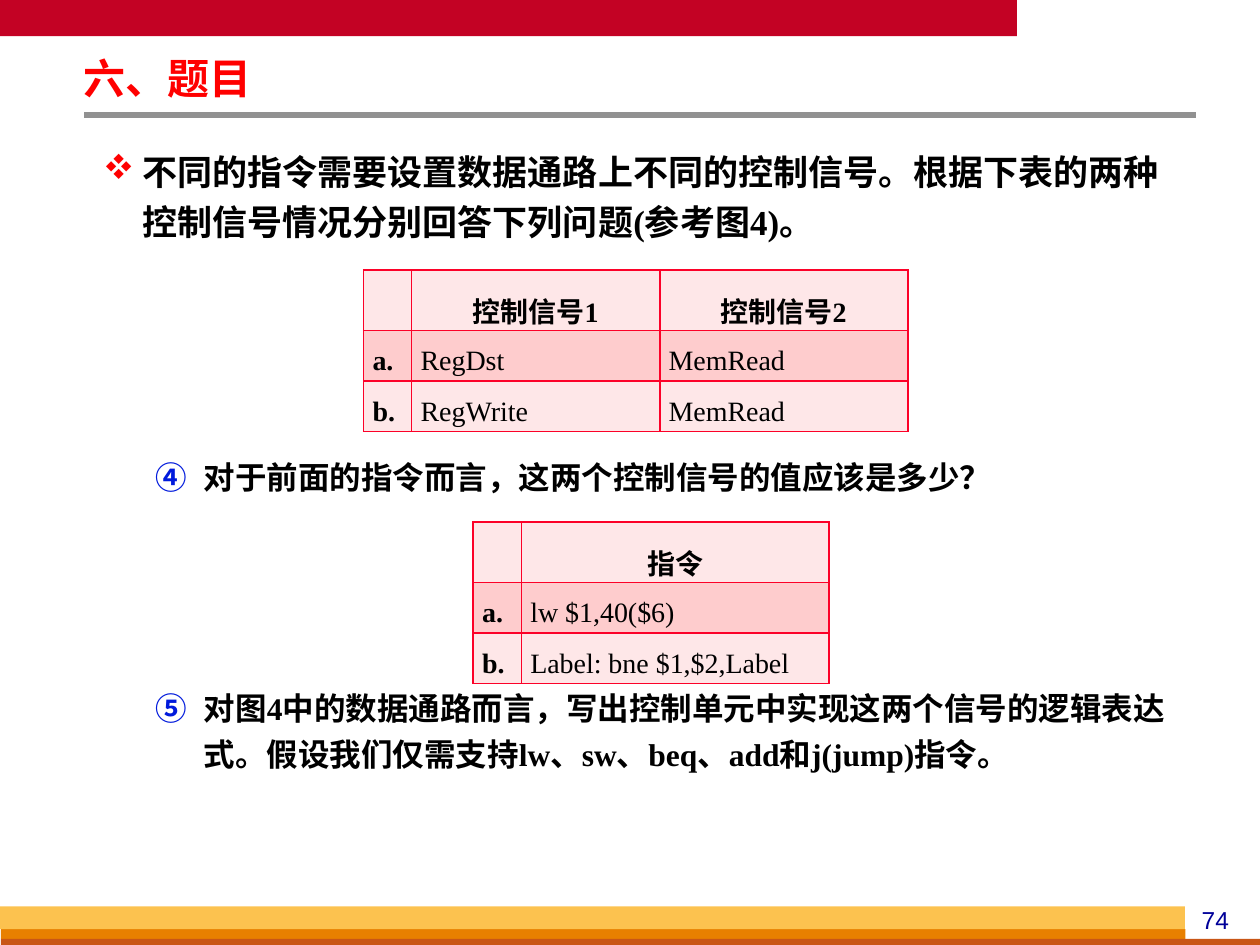
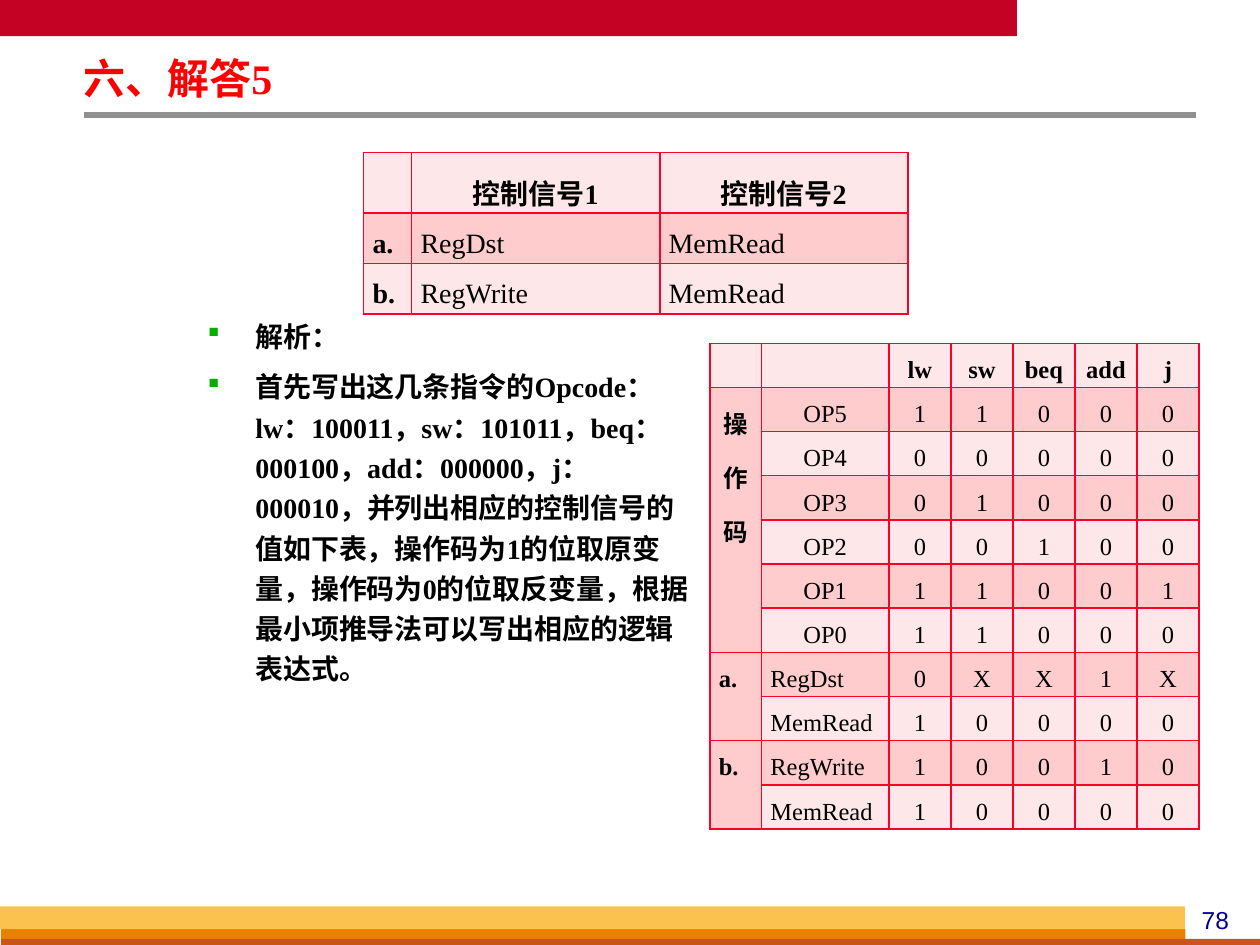
from lxml.etree import SubElement
from pptx import Presentation
from pptx.dml.color import RGBColor
from pptx.enum.shapes import MSO_CONNECTOR, MSO_SHAPE
from pptx.enum.text import MSO_ANCHOR, MSO_AUTO_SIZE, PP_ALIGN
from pptx.oxml.ns import qn
from pptx.util import Cm, Pt

COLOURS = {
    "top band": "C30224", "rule": "919191", "gold": "FCC24F",
    "orange": "E88000", "rust": "C95616", "page number": "000099",
    "title": "FF0000", "text": "000000", "diamond": "FF0000",
    "number": "001ADC", "square": "05AD01",
    "border": "FC0128", "light row": "FEE7E8", "dark row": "FECCCD",
}
SERIF, SANS = "Times New Roman", "Arial"

# colour, then left, top, width, height in cm
BANDS = [
    ("top band", (0, 0, 20.5, 0.73)),
    ("orange", (0.02, 18.73, 23.88, 0.2)),
    ("rust", (0.02, 18.93, 25.38, 0.12)),
    ("gold", (0, 18.27, 23.89, 0.46)),
]
TITLE_BOX = (1.5, 1.12, 14.6, 1.04)
PAGE_NUMBER_BOX = (23.7, 18.13, 1.6, 0.84)

# Bullet tag and attributes, level, left margin and hanging indent in cm;
# the characters are Wingdings codes for a diamond and a small square
BULLETS = {
    "diamond": ("a:buChar", {"char": "v"}, 0, 0.79, 0.79),
    "number": ("a:buAutoNum", {"type": "circleNumDbPlain", "startAt": "4"}, 1, 2.03, 0.97),
    "square": ("a:buChar", {"char": "§"}, 2, 3.07, 0.97),
}


def header_row(row, column):
    return row == 0


def opcode_rows_and_values(row, column):
    return row < 7 or column > 1


def signal_table(top):
    return {
        "at": (7.33, top), "columns": [0.97, 5, 5], "row": 1.02, "size": 16,
        "centred": header_row, "merges": [],
        "rows": [
            ["", "控制信号1", "控制信号2"],
            ["a.", "RegDst", "MemRead"],
            ["b.", "RegWrite", "MemRead"],
        ],
    }


INSTRUCTION_TABLE = {
    "at": (9.54, 10.52), "columns": [0.97, 6.2], "row": 1.02, "size": 16,
    "centred": header_row, "merges": [],
    "rows": [["", "指令"], ["a.", "lw $1,40($6)"], ["b.", "Label: bne $1,$2,Label"]],
}
TRUTH_TABLE = {
    "at": (14.31, 6.92), "columns": [1.04, 2.57] + [1.25] * 5, "row": 0.89, "size": 14,
    "centred": opcode_rows_and_values,
    "merges": [(1, 6), (7, 8), (9, 10)],
    "rows": [
        ["", "", "lw", "sw", "beq", "add", "j"],
        ["操作码", "OP5", *"11000"],
        ["", "OP4", *"00000"],
        ["", "OP3", *"01000"],
        ["", "OP2", *"00100"],
        ["", "OP1", *"11001"],
        ["", "OP0", *"11000"],
        ["a.", "RegDst", *"0XX1X"],
        ["", "MemRead", *"10000"],
        ["b.", "RegWrite", *"10010"],
        ["", "MemRead", *"10000"],
    ],
}

# Body items: bullet, size, space before in points, text
SLIDES = [
    {
        "title": "六、题目", "page": "74", "body box": (1.9, 2.78, 21.8, 13.4),
        "body": [
            ("diamond", 20, 0, "不同的指令需要设置数据通路上不同的控制信号。"
             "根据下表的两种控制信号情况分别回答下列问题(参考图4)。"),
            ("number", 18, 119, "对于前面的指令而言，这两个控制信号的值应该是多少？"),
            ("number", 18, 106, "对图4中的数据通路而言，写出控制单元中实现这两个信号的逻辑表达式。"
             "假设我们仅需支持lw、sw、beq、add和j(jump)指令。"),
        ],
        "tables": [signal_table(5.44), INSTRUCTION_TABLE],
    },
    {
        "title": "六、解答5", "page": "78", "body box": (1.9, 6.22, 12.2, 8.1),
        "body": [
            ("square", 16, 0, "解析："),
            ("square", 16, 6, "首先写出这几条指令的Opcode：lw：100011，sw：101011，beq：000100，"
             "add：000000，j：000010，并列出相应的控制信号的值如下表，操作码为1的位取原变量，"
             "操作码为0的位取反变量，根据最小项推导法可以写出相应的逻辑表达式。"),
        ],
        "tables": [signal_table(3.07), TRUTH_TABLE],
    },
]


def colour(name):
    return RGBColor.from_string(COLOURS[name])


def lengths(values):
    return [Cm(value) for value in values]


def set_all(target, **values):
    for name, value in values.items():
        setattr(target, name, value)


def write(paragraph, text, size, colour_name="text", font=SERIF, bold=True):
    run = paragraph.add_run()
    run.text = text
    set_all(run.font, size=Pt(size), name=font, bold=bold)
    run.font.color.rgb = colour(colour_name)


def set_frame(frame, horizontal=0.18, vertical=0.08, anchor=MSO_ANCHOR.TOP):
    set_all(frame, word_wrap=True, auto_size=MSO_AUTO_SIZE.NONE, vertical_anchor=anchor,
            margin_left=Cm(horizontal), margin_right=Cm(horizontal),
            margin_top=Cm(vertical), margin_bottom=Cm(vertical))


def add_bands(slide):
    for name, box in BANDS:
        band = slide.shapes.add_shape(MSO_SHAPE.RECTANGLE, *lengths(box))
        band.shadow.inherit = False
        band.fill.solid()
        band.fill.fore_color.rgb = colour(name)
        band.line.fill.background()
    rule = slide.shapes.add_connector(MSO_CONNECTOR.STRAIGHT, *lengths((1.7, 2.32, 24.1, 2.32)))
    rule.line.width = Pt(3)
    rule.line.color.rgb = colour("rule")
    SubElement(rule._element.spPr, qn("a:effectLst"))


def add_title(slide, text):
    title = slide.shapes.title
    for side, length in zip(("left", "top", "width", "height"), lengths(TITLE_BOX)):
        setattr(title, side, length)
    set_frame(title.text_frame, anchor=MSO_ANCHOR.MIDDLE)
    paragraph = title.text_frame.paragraphs[0]
    set_all(paragraph, alignment=PP_ALIGN.LEFT, line_spacing=0.87)
    write(paragraph, text, 24, "title")


def add_page_number(slide, text):
    frame = slide.shapes.add_textbox(*lengths(PAGE_NUMBER_BOX)).text_frame
    set_frame(frame, anchor=MSO_ANCHOR.MIDDLE)
    frame.paragraphs[0].alignment = PP_ALIGN.CENTER
    write(frame.paragraphs[0], text, 14, "page number", SANS, False)


def add_bullet(paragraph, name):
    tag, attributes, level, margin, hanging = BULLETS[name]
    paragraph.level = level
    properties = paragraph._p.get_or_add_pPr()
    properties.set("marL", str(Cm(margin)))
    properties.set("indent", str(-Cm(hanging)))
    properties.set("hangingPunct", "0")
    bullet_colour = SubElement(properties, qn("a:buClr"))
    SubElement(bullet_colour, qn("a:srgbClr"), val=COLOURS[name])
    if tag == "a:buChar":
        SubElement(properties, qn("a:buFont"), typeface="Wingdings", charset="2")
    SubElement(properties, qn(tag), attributes)


def add_body(slide, box, items):
    frame = slide.shapes.add_textbox(*lengths(box)).text_frame
    set_frame(frame)
    for index, (bullet, size, space_before, text) in enumerate(items):
        paragraph = frame.add_paragraph() if index else frame.paragraphs[0]
        add_bullet(paragraph, bullet)
        set_all(paragraph, line_spacing=1.2, space_before=Pt(space_before), space_after=Pt(0))
        write(paragraph, text, size)


def add_borders(cell):
    properties = cell._tc.get_or_add_tcPr()
    for side in ("a:lnL", "a:lnR", "a:lnT", "a:lnB"):
        line = SubElement(properties, qn(side), w=str(Pt(1)))
        fill = SubElement(line, qn("a:solidFill"))
        SubElement(fill, qn("a:srgbClr"), val=COLOURS["border"])


def add_table(slide, data):
    rows, columns = data["rows"], data["columns"]
    size = (sum(columns), data["row"] * len(rows))
    table = slide.shapes.add_table(
        len(rows), len(columns), *lengths(data["at"] + size)).table
    set_all(table, first_row=False, horz_banding=False)
    for column, width in zip(table.columns, columns):
        column.width = Cm(width)
    for row_index, texts in enumerate(rows):
        table.rows[row_index].height = Cm(data["row"])
        for column_index, text in enumerate(texts):
            cell = table.cell(row_index, column_index)
            set_all(cell, margin_left=Cm(0.18), margin_right=Cm(0.18),
                    margin_top=0, margin_bottom=0)
            add_borders(cell)
            cell.fill.solid()
            cell.fill.fore_color.rgb = colour("dark row" if row_index % 2 else "light row")
            if text:
                paragraph = cell.text_frame.paragraphs[0]
                centred = data["centred"](row_index, column_index)
                set_all(paragraph, line_spacing=1.5,
                        alignment=PP_ALIGN.CENTER if centred else PP_ALIGN.JUSTIFY)
                write(paragraph, text, data["size"], bold=row_index == 0 or column_index == 0)
    for first, last in data["merges"]:
        table.cell(first, 0).merge(table.cell(last, 0))


def main():
    presentation = Presentation()
    set_all(presentation, slide_width=Cm(25.4), slide_height=Cm(19.05))
    for content in SLIDES:
        slide = presentation.slides.add_slide(presentation.slide_layouts[5])
        add_bands(slide)
        add_title(slide, content["title"])
        add_page_number(slide, content["page"])
        add_body(slide, content["body box"], content["body"])
        for data in content["tables"]:
            add_table(slide, data)
    presentation.save("out.pptx")


if __name__ == "__main__":
    main()
